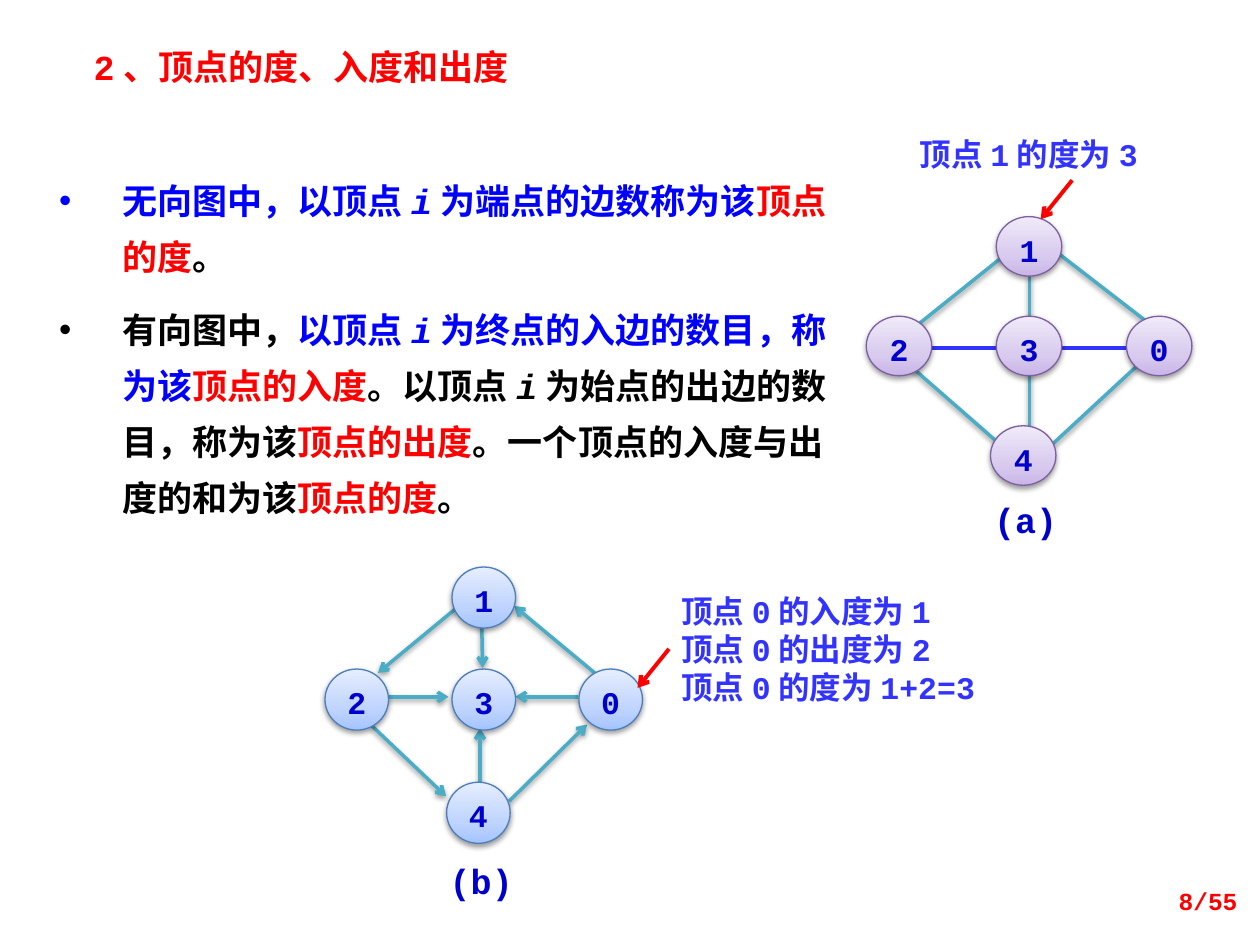
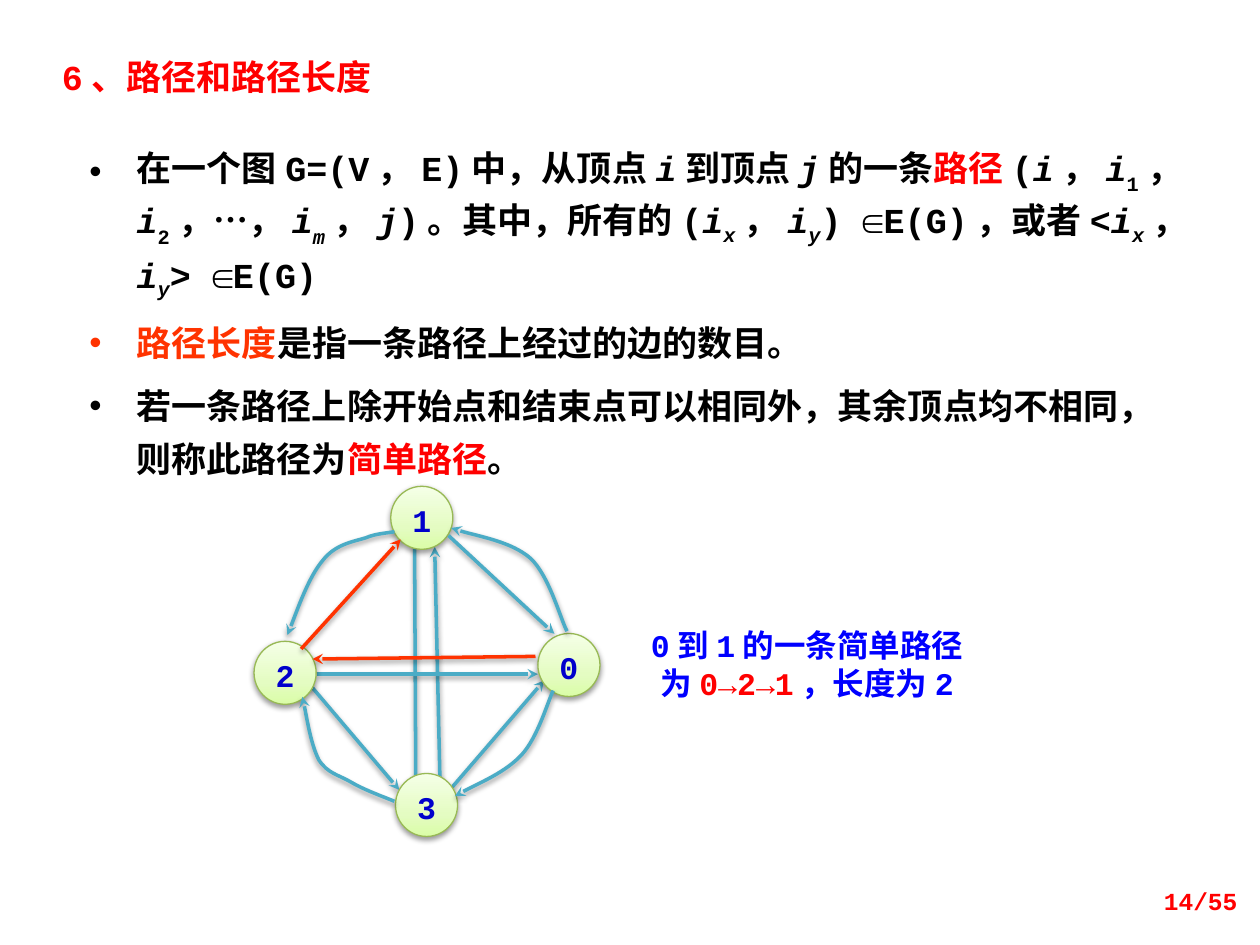
from copy import deepcopy
from lxml.etree import SubElement as sub
from pptx import Presentation
from pptx.dml.color import RGBColor as Rgb
from pptx.enum.shapes import MSO_CONNECTOR as Conn, MSO_SHAPE as Kind
from pptx.enum.text import MSO_ANCHOR as Anchor, MSO_AUTO_SIZE as Fit, PP_ALIGN as Align
from pptx.oxml.ns import qn
from pptx.util import Pt

HUES = {
    "black": "000000", "white": "FFFFFF", "red": "FF0000", "orange": "FF3300",
    "blue": "0000FF", "navy": "0000CC", "violet": "3333FF", "teal": "4BACC6",
}
FONT, CJK = "Courier New", "Noto Sans CJK JP"
DROPS = {"sub": "-30000", "low": "-25000"}
TOTAL = 55


def write(frame, paras, size, align=Align.LEFT):
    """Add runs of (text, look); a look is a colour, then any of: i, cjk, sub, low."""
    frame.word_wrap = True
    frame.auto_size = Fit.NONE
    for n, runs in enumerate(paras):
        para = frame.add_paragraph() if n else frame.paragraphs[0]
        para.alignment = align
        for text, look in runs:
            hue, *marks = look.split()
            run = para.add_run()
            run.text = text
            font = run.font
            font.size = Pt(size)
            font.bold = True
            font.italic = "i" in marks
            font.name = CJK if "cjk" in marks else FONT
            font.color.rgb = Rgb.from_string(HUES[hue])
            for mark in marks:
                if mark in DROPS:
                    run._r.get_or_add_rPr().set("baseline", DROPS[mark])


def ink(shape, hue, width, tip=None, shade=True):
    """Set the outline, the arrowhead at its end and the soft shadow below."""
    shape.line.color.rgb = Rgb.from_string(hue)
    shape.line.width = Pt(width)
    props = shape._element.spPr
    if tip:
        sub(props.find(qn("a:ln")), qn("a:tailEnd"), type=tip)
    effects = sub(props, qn("a:effectLst"))
    if shade:
        outer = sub(effects, qn("a:outerShdw"), blurRad=str(Pt(3.1)),
                    dist=str(Pt(1.6)), dir="5400000", rotWithShape="0")
        tone = sub(outer, qn("a:srgbClr"), val=HUES["black"])
        sub(tone, qn("a:alpha"), val="38000")


# Links: (colour, width, arrowhead, shadow, point lists); more than two points make a curve.
# Labels: (box, alignment, size, side inset, top inset, paragraphs).
degree = {
    "page": 8,
    "title": "2、顶点的度、入度和出度",
    "head": (22.3, 22.3, 319, 31.7), "inset": 31.2,
    "box": (22.3, 85.7, 461.5, 221), "indent": 36, "pitch": 32, "gap": 10,
    "body": [
        [("无向图中，以顶点", "blue"), ("i", "blue i"), ("为端点的边数称为该", "blue"),
         ("顶点的度", "red cjk"), ("。", "black")],
        [("有向图中，", "black"), ("以顶点", "blue"), ("i", "blue i"),
         ("为终点的入边的数目，称为该", "blue"), ("顶点的入度", "red cjk"),
         ("。以顶点", "black"), ("i", "black i"),
         ("为始点的出边的数目，称为该", "black"), ("顶点的出度", "red cjk"),
         ("。一个顶点的入度与出度的和为该", "black"), ("顶点的度", "red cjk"),
         ("。", "black")],
    ],
    "under": [
        ("violet", 2.25, None, False, [[(529.2, 198.7), (646.6, 198.7)]]),
        ("teal", 2, None, True, [
            [(520.6, 209.5), (571.7, 254.2)], [(601.9, 253.4), (651.6, 207.4)],
            [(601.9, 142.6), (655.9, 184.3)], [(574.6, 145.4), (516.2, 192.2)],
            [(588.2, 157), (588.2, 258.5)]]),
        ("teal", 2, "arrow", True, [
            [(275, 342.7), (275.8, 381.6)], [(274.3, 450.7), (274.3, 416.2)],
            [(330.5, 398.2), (294.5, 398.2)], [(220.3, 398.2), (256.3, 398.2)],
            [(212.4, 414.7), (254.9, 455)], [(290.9, 457.9), (335.5, 414)],
            [(339.8, 384.5), (293.8, 346.3)], [(261.4, 347), (216, 384.5)]]),
    ],
    "graphs": [
        ((37.4, 34), "7D60A0", ("C9B5E8", "D8CBEE", "F0EAF9"),
         {"1": (569.3, 123.8), "3": (569.3, 180.7), "0": (643.7, 180.7),
          "2": (495, 180.7), "4": (566, 243.3)}),
        ((36.3, 34.9), "4B7EBC", ("A4C4FF", "BFD4FF", "E6EEFF"),
         {"1": (258.3, 324), "3": (258.3, 382.3), "0": (330.8, 382.3),
          "2": (185.7, 382.3), "4": (255.2, 447)}),
    ],
    "over": [("red", 2.25, "arrow", False, [
        [(612.7, 103), (594.7, 125.3)], [(382.3, 370.8), (364.3, 393.1)]])],
    "labels": [
        ((568, 285.1, 38, 34), Align.LEFT, 20, 0, 0, [[("(a)", "navy")]]),
        ((257, 491, 38, 26), Align.LEFT, 20, 0, 0, [[("(b)", "navy")]]),
        ((517.7, 73.4, 140.4, 28.8), Align.CENTER, 18, 7.2, 3.6,
         [[("顶点1的度为3", "violet")]]),
        ((382.3, 334.8, 196.6, 72.7), Align.LEFT, 18, 7.2, 3.6,
         [[("顶点0的入度为1", "violet")], [("顶点0的出度为2", "violet")],
          [("顶点0的度为1+2=3", "violet")]]),
    ],
}

route = {
    "page": 14,
    "title": "6、路径和路径长度",
    "head": (28.1, 28.1, 275.8, 31.7), "inset": 7.2,
    "box": (39.6, 73.4, 646.6, 180.7), "indent": 27, "pitch": 30, "gap": 6,
    "body": [
        [("在一个图G=(V，E)中，从顶点", "black"), ("i", "black i"), ("到顶点", "black"),
         ("j", "black i"), ("的一条", "black"), ("路径", "red cjk"), ("(", "black"),
         ("i", "black i"), ("，", "black"), ("i", "black i"), ("1", "black sub"),
         ("，", "black"), ("i", "black i"), ("2", "black sub"), ("，…，", "black"),
         ("i", "black i"), ("m", "black i sub"), ("，", "black"), ("j", "black i"),
         (")。其中，所有的(", "black"), ("i", "black i"), ("x", "black i low"),
         ("，", "black"), ("i", "black i"), ("y", "black i low"),
         (") ∈E(G)，或者<", "black"), ("i", "black i"), ("x", "black i low"),
         ("，", "black"), ("i", "black i"), ("y", "black i low"), ("> ∈E(G)", "black")],
        [("路径长度", "orange cjk"), ("是指一条路径上经过的边的数目。", "black")],
        [("若一条路径上除开始点和结束点可以相同外，其余顶点均不相同，则称此路径为", "black"),
         ("简单路径", "red cjk"), ("。", "black")],
    ],
    "under": [
        ("teal", 2, "arrow", True, [[(236.9, 311), (237.6, 451.4)]]),
        ("teal", 2, "stealth", True, [
            [(252, 472.3), (248.4, 312.5)], [(181.4, 385.2), (307.4, 385.2)],
            [(167, 379.4), (228.2, 451.4)], [(252, 457.2), (311, 388.8)]]),
    ],
    "graphs": [
        ((35.5, 36), "98B955", ("DAFDA7", "E4FCC2", "F5FFE7"),
         {"1": (223.3, 277.9), "0": (307.4, 362), "2": (145.2, 366.5),
          "3": (226, 442)}),
    ],
    "over": [
        ("teal", 2, "stealth", True, [
            [(316.1, 394.6), (313.2, 400.3), (307.4, 421.2), (298.1, 431.3),
             (288.7, 441.4), (267.8, 450), (259.9, 455)],
            [(225.4, 303.8), (222.5, 304.6), (215.3, 304.6), (208.8, 307.4),
             (201.6, 309.6), (191.5, 311), (184.3, 320.4),
             (176.4, 329.8), (167.8, 354.2), (164.2, 362.9)],
            [(225.4, 457.9), (220.3, 455.8), (208.1, 451.4), (200.9, 447.1),
             (193.7, 442.8), (187.2, 442.1), (182.2, 434.2),
             (177.8, 425.5), (174.2, 403.9), (172.8, 398.2)],
            [(324, 360.7), (320.4, 354.2), (313.9, 329), (303.1, 319),
             (292.3, 309.6), (267.1, 305.3), (257.8, 301.7)]]),
        ("orange", 2, "stealth", True, [
            [(306, 375.1), (178.6, 376.6)], [(172.1, 370.8), (229, 308.2)]]),
        ("teal", 2, "stealth", True, [[(256.3, 306), (316.8, 362.2)]]),
    ],
    "labels": [
        ((360, 354.2, 202.3, 51.1), Align.CENTER, 18, 7.2, 3.6,
         [[("0到1的一条简单路径为", "blue"), ("0→2→1", "red"), ("，长度为2", "blue")]]),
    ],
}

deck = Presentation()
deck.slide_width, deck.slide_height = Pt(720), Pt(540)

for topic in (degree, route):
    slide = deck.slides.add_slide(deck.slide_layouts[1])
    shapes = slide.shapes

    title, body = slide.placeholders
    for holder, key in ((title, "head"), (body, "box")):
        holder.left, holder.top, holder.width, holder.height = map(Pt, topic[key])
        holder.text_frame.vertical_anchor = Anchor.TOP
    title.text_frame.margin_left = Pt(topic["inset"])
    write(title.text_frame, [[(topic["title"], "red")]], 20)

    body.fill.solid()
    body.fill.fore_color.rgb = Rgb.from_string(HUES["white"])
    frame = body.text_frame
    frame.margin_left, frame.margin_right = Pt(11.5), Pt(7.2)
    frame.margin_top = frame.margin_bottom = Pt(8.6)
    write(frame, topic["body"], 20)
    for n, para in enumerate(frame.paragraphs):
        para.line_spacing = Pt(topic["pitch"])
        para.space_before = Pt(topic["gap"] if n else 0)
        props = para._p.get_or_add_pPr()
        props.set("marL", str(Pt(topic["indent"])))
        props.set("indent", str(-Pt(topic["indent"])))

    for layer in ("under", "graphs", "over"):
        if layer == "graphs":
            for (wide, high), edge, tones, nodes in topic["graphs"]:
                for name, (x, y) in nodes.items():
                    node = shapes.add_shape(Kind.OVAL, Pt(x), Pt(y), Pt(wide), Pt(high))
                    node.fill.gradient()
                    node.fill.gradient_angle = 90
                    stops = node._element.spPr.find(".//" + qn("a:gsLst"))
                    stops.insert(1, deepcopy(stops[0]))
                    for stop, spot, tone in zip(node.fill.gradient_stops, (0, 0.35, 1), tones):
                        stop.position = spot
                        stop.color.rgb = Rgb.from_string(tone)
                    ink(node, edge, 0.75)
                    frame = node.text_frame
                    frame.margin_left = frame.margin_right = frame.margin_bottom = 0
                    frame.margin_top = Pt(8.6)
                    frame.vertical_anchor = Anchor.TOP
                    write(frame, [[(name, "navy")]], 18, Align.CENTER)
                    frame.paragraphs[0].line_spacing = 0.72
            continue
        for hue, width, tip, shade, links in topic[layer]:
            for points in links:
                spots = [(Pt(x), Pt(y)) for x, y in points]
                if len(spots) == 2:
                    link = shapes.add_connector(Conn.STRAIGHT, *spots[0], *spots[1])
                else:
                    draft = shapes.build_freeform(*spots[0])
                    draft.add_line_segments(spots[1:], close=False)
                    link = draft.convert_to_shape()
                    link.fill.background()
                    # Each three segments become one Bezier curve.
                    track = link._element.spPr.find(".//" + qn("a:path"))
                    steps = track.findall(qn("a:lnTo"))
                    for n in range(0, len(steps), 3):
                        curve = sub(track, qn("a:cubicBezTo"))
                        for step in steps[n:n + 3]:
                            curve.append(step[0])
                            track.remove(step)
                ink(link, HUES[hue], width, tip, shade)

    for box, align, size, side, rim, paras in topic["labels"]:
        frame = shapes.add_textbox(*map(Pt, box)).text_frame
        frame.margin_left = frame.margin_right = Pt(side)
        frame.margin_top = frame.margin_bottom = Pt(rim)
        write(frame, paras, size, align)

    frame = shapes.add_textbox(Pt(546.5), Pt(500.4), Pt(167.8), Pt(28.8)).text_frame
    frame.vertical_anchor = Anchor.MIDDLE
    write(frame, [[(f"{topic['page']}/{TOTAL}", "red")]], 14, Align.RIGHT)

deck.save("out.pptx")
